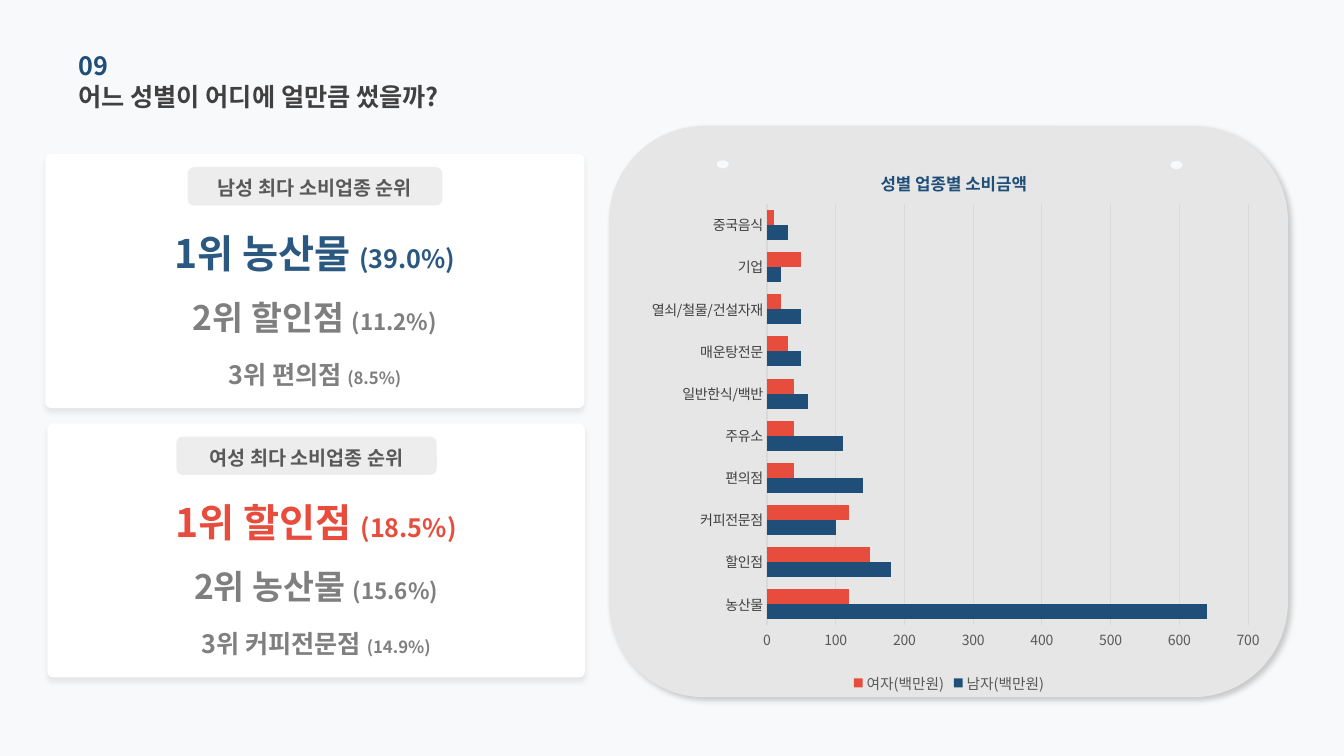
import pptx
import pptx.chart.data
import pptx.dml.color
import pptx.enum.chart
import pptx.enum.shapes
import pptx.enum.text
import pptx.oxml
import pptx.oxml.ns
import pptx.util

Pt = pptx.util.Pt
rgb = pptx.dml.color.RGBColor.from_string
qn = pptx.oxml.ns.qn
shape_kind = pptx.enum.shapes.MSO_SHAPE
align = pptx.enum.text.PP_ALIGN
FONT = "Noto Sans CJK KR"
NAVY, RED, GRAY, DARK = "1F4E79", "E74C3C", "7F7F7F", "404040"


def style_font(font, size, color, bold=False):
    formats = {"name": FONT, "size": Pt(size), "bold": bold}
    for name, value in formats.items():
        setattr(font, name, value)
    font.color.rgb = rgb(color)


def add_panel(shapes, kind, bounds, color, alpha=100, shadow=None):
    panel = shapes.add_shape(kind, *map(Pt, bounds))
    panel.shadow.inherit = False
    panel.line.fill.background()
    panel.fill.solid()
    panel.fill.fore_color.rgb = rgb(color)
    if alpha < 100:
        panel.element.spPr.find(".//" + qn("a:srgbClr")).append(pptx.oxml.parse_xml(
            f'<a:alpha {pptx.oxml.ns.nsdecls("a")} val="{alpha * 1000}"/>'))
    if shadow:
        opacity, angle = shadow
        panel.element.spPr.find(qn("a:effectLst")).append(pptx.oxml.parse_xml(
            f'<a:outerShdw {pptx.oxml.ns.nsdecls("a")} blurRad="{Pt(4)}" dist="{Pt(3)}" '
            f'dir="{angle * 60000}" algn="ctr" rotWithShape="0"><a:srgbClr val="000000">'
            f'<a:alpha val="{opacity * 1000}"/></a:srgbClr></a:outerShdw>'))
    return panel


# Slide
deck = pptx.Presentation()
deck.slide_width, deck.slide_height = Pt(960), Pt(540)
page = deck.slides.add_slide(deck.slide_layouts[5])
page.background.fill.solid()
page.background.fill.fore_color.rgb = rgb("F8F9FA")

# Chart panel with its two pin holes
add_panel(page.shapes, shape_kind.ROUNDED_RECTANGLE, (435, 90, 485, 408), "E7E6E6", shadow=(20, 45))
for left, top in [(512, 114.5), (836, 115)]:
    add_panel(page.shapes, shape_kind.OVAL, (left, top, 8.6, 5.8), "F8F9FA")

# Heading texts: box, alignment, runs of text, size and colour
title = page.shapes.title
title.left, title.top, title.width, title.height = map(Pt, (56, 54, 325, 29.5))
number = page.shapes.add_textbox(*map(Pt, (56, 31.7, 325, 29.5)))
texts = [
    (title, align.LEFT, [("어느 성별이 어디에 얼만큼 썼을까?", 18, DARK)]),
    (number, align.LEFT, [("09", 18, NAVY)]),
]

# Ranking cards
cards = [
    ((32.4, 110, 385, 181.5), (134, 182), "남성 최다 소비업종 순위", "2B5880",
     [("농산물", "39.0"), ("할인점", "11.2"), ("편의점", "8.5")]),
    ((33.8, 302.4, 384, 181.5), (126, 186), "여성 최다 소비업종 순위", RED,
     [("할인점", "18.5"), ("농산물", "15.6"), ("커피전문점", "14.9")]),
]
rank_rows = [(53, 34.5, 28, 18), (86, 60.5, 24, 16), (127, 60.5, 18, 12)]
for bounds, (badge_left, badge_width), heading, accent, ranking in cards:
    left, top, width, height = bounds
    group = page.shapes.add_group_shape()
    card = add_panel(group.shapes, shape_kind.ROUNDED_RECTANGLE, bounds, "FFFFFF", shadow=(8, 90))
    card.adjustments[0] = 0.023
    for rank, (row, (sector, share)) in enumerate(zip(rank_rows, ranking), 1):
        offset, row_height, size, share_size = row
        color = accent if rank == 1 else GRAY
        box = group.shapes.add_textbox(*map(Pt, (left, top + offset, width, row_height)))
        texts.append((box, align.CENTER, [(f"{rank}위 {sector} ", size, color),
                                          (f"({share}%)", share_size, color)]))
    add_panel(group.shapes, shape_kind.ROUNDED_RECTANGLE,
              (badge_left, top + 9.4, badge_width, 27.4), "D0CECE", alpha=36)
    box = group.shapes.add_textbox(*map(Pt, (badge_left + 7.5, top + 9.4, badge_width - 15, 29.5)))
    texts.append((box, align.CENTER, [(heading, 14, "595959")]))

# Fill in every text
frame_formats = {
    "word_wrap": True, "auto_size": pptx.enum.text.MSO_AUTO_SIZE.NONE,
    "vertical_anchor": pptx.enum.text.MSO_ANCHOR.MIDDLE,
    "margin_left": 0, "margin_top": 0, "margin_right": 0, "margin_bottom": 0,
}
for box, alignment, spans in texts:
    for name, value in frame_formats.items():
        setattr(box.text_frame, name, value)
    para = box.text_frame.paragraphs[0]
    para.alignment = alignment
    for text, size, color in spans:
        span = para.add_run()
        span.text = text
        style_font(span.font, size, color, bold=True)

# Spending chart
data = pptx.chart.data.CategoryChartData()
data.categories = ["농산물", "할인점", "커피전문점", "편의점", "주유소", "일반한식/백반",
                   "매운탕전문", "열쇠/철물/건설자재", "기업", "중국음식"]
data.add_series("남자(백만원)", [640, 180, 100, 140, 110, 60, 50, 50, 20, 30])
data.add_series("여자(백만원)", [120, 150, 120, 40, 40, 40, 30, 20, 50, 10])
chart = page.shapes.add_chart(pptx.enum.chart.XL_CHART_TYPE.BAR_CLUSTERED,
                              *map(Pt, (445.7, 102.2, 464.4, 396)), data).chart
chart.font.size, chart.font.name = Pt(10), "Calibri"
chart.element.find(qn("c:txPr")).addprevious(pptx.oxml.parse_xml(
    f'<c:spPr {pptx.oxml.ns.nsdecls("c", "a")}><a:noFill/><a:ln><a:noFill/></a:ln></c:spPr>'))

plot = chart.plots[0]
plot.gap_width, plot.overlap, plot.vary_by_categories = 80, 0, False
for series, color in zip(plot.series, (NAVY, RED)):
    series.format.fill.solid()
    series.format.fill.fore_color.rgb = rgb(color)

# Chart title and legend
chart.has_title = True
para = chart.chart_title.text_frame.paragraphs[0]
span = para.add_run()
span.text = "성별 업종별 소비금액"
style_font(span.font, 12, NAVY, bold=True)
chart.chart_title.include_in_layout = False
chart.has_legend = True
chart.legend.position = pptx.enum.chart.XL_LEGEND_POSITION.BOTTOM
chart.legend.include_in_layout = False
style_font(chart.legend.font, 10.5, "595959")

# Axes
for axis, color in [(chart.category_axis, DARK), (chart.value_axis, "595959")]:
    axis.major_tick_mark = axis.minor_tick_mark = pptx.enum.chart.XL_TICK_MARK.NONE
    style_font(axis.tick_labels.font, 10, color)
amounts = chart.value_axis
amounts.minimum_scale, amounts.maximum_scale, amounts.major_unit = 0, 700, 100
amounts.format.line.fill.background()
for line in (chart.category_axis.format.line, amounts.major_gridlines.format.line):
    line.color.rgb = rgb("D9D9D9")
    line.width = Pt(0.75)

# Fixed places of the chart title and the plot area
chart_root = chart.element.find(qn("c:chart"))
for part, places in [("c:title", {"x": 0.39, "y": 0.04}),
                     ("c:plotArea", {"x": 0.22, "y": 0.11, "w": 0.74, "h": 0.76})]:
    holder = chart_root.find(qn(part))
    for old in holder.findall(qn("c:layout")):
        holder.remove(old)
    target = '<c:layoutTarget val="inner"/>' if part == "c:plotArea" else ""
    modes = "".join(f'<c:{key}Mode val="edge"/>' for key in "xy")
    values = "".join(f'<c:{key} val="{value}"/>' for key, value in places.items())
    holder.insert(1 if part == "c:title" else 0, pptx.oxml.parse_xml(
        f'<c:layout {pptx.oxml.ns.nsdecls("c")}><c:manualLayout>{target}{modes}{values}'
        '</c:manualLayout></c:layout>'))

# Korean typeface beside each Latin one
for root in (page.element, chart.element):
    for latin in list(root.iter(qn("a:latin"))):
        latin.addnext(pptx.oxml.parse_xml(
            f'<a:ea {pptx.oxml.ns.nsdecls("a")} typeface="{FONT}"/>'))

deck.save("out.pptx")
